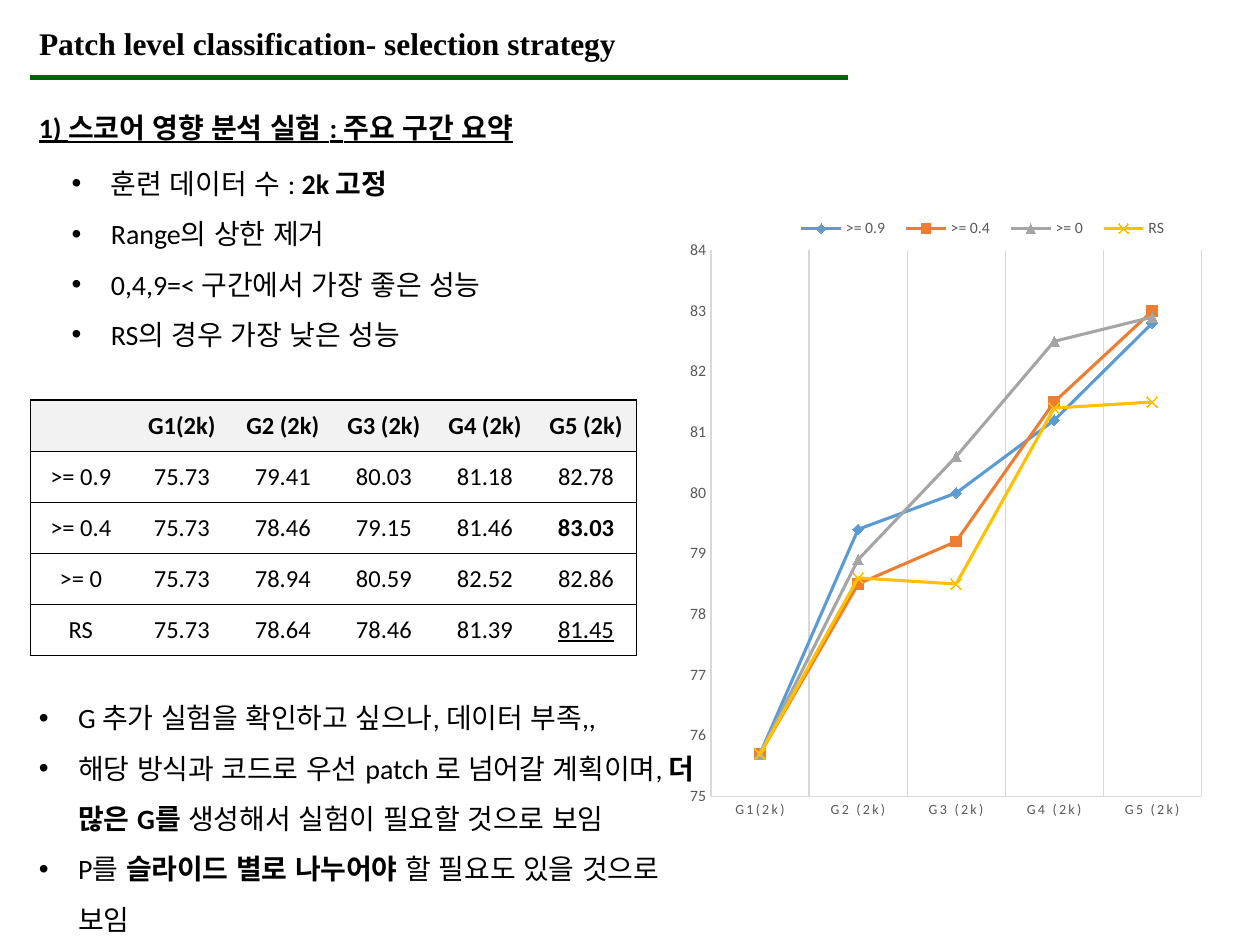
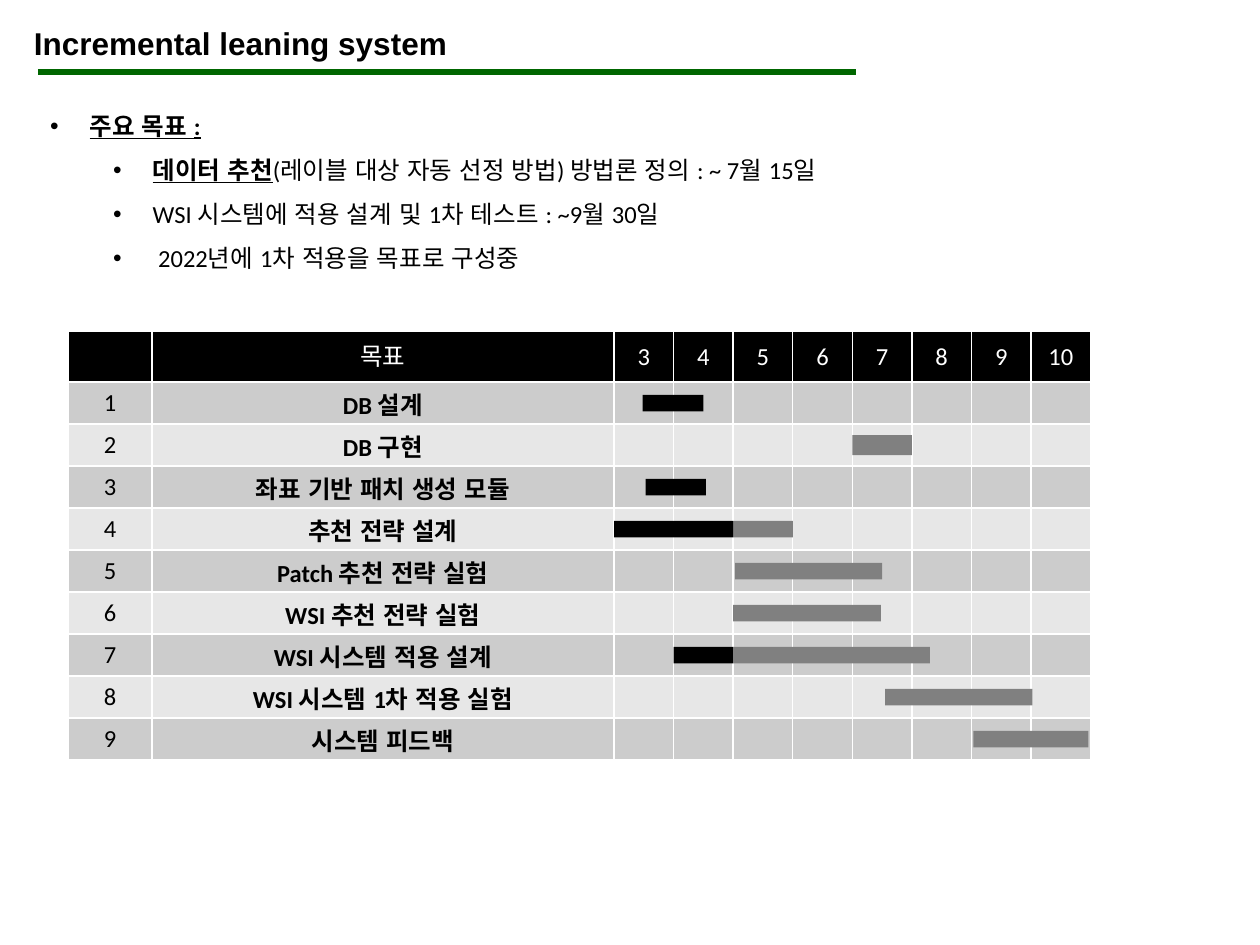
import lxml.etree
import pptx
import pptx.chart.data
import pptx.dml.color
import pptx.enum.chart
import pptx.enum.shapes
import pptx.enum.text
import pptx.oxml.ns
import pptx.util

Pt = pptx.util.Pt
qn = pptx.oxml.ns.qn
ALIGN = pptx.enum.text.PP_ALIGN
ANCHOR = pptx.enum.text.MSO_ANCHOR
MARKER = pptx.enum.chart.XL_MARKER_STYLE

# Shared look
COLORS = {
    "ink": "000000", "paper": "FFFFFF", "rule": "006600", "score_head": "F2F2F2",
    "odd_row": "CCCCCC", "even_row": "E7E7E7", "planned": "808080",
    "grid": "D9D9D9", "label": "595959",
    ">= 0.9": "5B9BD5", ">= 0.4": "ED7D31", ">= 0": "A5A5A5", "RS": "FFC000",
}
BODY_FONT, KOREAN_FONT = "Calibri", "Arial"
RULE_LENGTH = 467.3
BOLD = {"bold": True}
KEY = {"bold": True, "underline": True}

# Content: each paragraph is (level, runs), each run (text, format); level None has no bullet
SCORE_HEADING = [(None, [("1) 스코어 영향 분석 실험 : 주요 구간 요약", KEY)])]
SCORE_POINTS = [
    (0, [("훈련 데이터 수 : ", {}), ("2k 고정", BOLD)]),
    (0, [("Range의 상한 제거", {})]),
    (0, [("0,4,9=< 구간에서 가장 좋은 성능", {})]),
    (0, [("RS의 경우 가장 낮은 성능", {})]),
]
NEXT_STEPS = [
    (0, [("G 추가 실험을 확인하고 싶으나, 데이터 부족,,", {})]),
    (0, [("해당 방식과 코드로 우선 patch 로 넘어갈 계획이며, ", {}),
         ("더 많은 G를 ", BOLD), ("생성해서 실험이 필요할 것으로 보임", {})]),
    (0, [("P를 ", {}), ("슬라이드 별로 나누어야 ", BOLD), ("할 필요도 있을 것으로 보임", {})]),
]
GENERATIONS = ["G1(2k)", "G2 (2k)", "G3 (2k)", "G4 (2k)", "G5 (2k)"]
SCORES = {
    ">= 0.9": [75.73, 79.41, 80.03, 81.18, 82.78],
    ">= 0.4": [75.73, 78.46, 79.15, 81.46, 83.03],
    ">= 0": [75.73, 78.94, 80.59, 82.52, 82.86],
    "RS": [75.73, 78.64, 78.46, 81.39, 81.45],
}
SCORE_EMPHASIS = {"83.03": BOLD, "81.45": {"underline": True}}
SERIES_MARKERS = [MARKER.DIAMOND, MARKER.SQUARE, MARKER.TRIANGLE, MARKER.X]

GOALS_SUMMARY = [
    (0, [("주요 목표 :", KEY)]),
    (1, [("데이터 추천", KEY), ("(레이블 대상 자동 선정 방법) 방법론 정의 : ~ 7월 15일", {})]),
    (1, [("WSI 시스템에 적용 설계 및 1차 테스트 : ~9월 30일", {})]),
    (1, [(" 2022년에 1차 적용을 목표로 구성중", {})]),
]
MONTHS = list(range(3, 11))
# Goal, then its bars: (colour, start, end) in months
SCHEDULE = [
    ("DB 설계", [("ink", 3.48, 4.5)]),
    ("DB 구현", [("planned", 7, 8)]),
    ("좌표 기반 패치 생성 모듈", [("ink", 3.53, 4.54)]),
    ("추천 전략 설계", [("planned", 5, 6), ("ink", 3, 5)]),
    ("Patch 추천 전략 실험", [("planned", 5.03, 7.5)]),
    ("WSI 추천 전략 실험", [("planned", 5, 7.48)]),
    ("WSI 시스템 적용 설계", [("ink", 4, 5), ("planned", 5, 8.3)]),
    ("WSI 시스템 1차 적용 실험", [("planned", 7.55, 10.02)]),
    ("시스템 피드백", [("planned", 9.03, 10.96)]),
]
BAR_HEIGHTS = {"DB 구현": 11.5}


def color(name):
    return pptx.dml.color.RGBColor.from_string(COLORS[name])


def style_font(font, size, ink="ink", name=BODY_FONT, **flags):
    font.color.rgb = color(ink)
    for key, value in {"size": Pt(size), "name": name, **flags}.items():
        setattr(font, key, value)


def add_run(paragraph, text, size, ink="ink", **flags):
    run = paragraph.add_run()
    run.text = text
    style_font(run.font, size, ink, **flags)
    latin = run._r.get_or_add_rPr().find(qn("a:latin"))
    korean = lxml.etree.Element(qn("a:ea"), typeface=KOREAN_FONT)
    latin.addnext(korean)


def paint(fill, name):
    fill.solid()
    fill.fore_color.rgb = color(name)


def add_headed_slide(deck, title, font, title_left, rule_left, rule_top):
    slide = deck.slides.add_slide(deck.slide_layouts[5])
    heading = slide.shapes.title
    for key, value in {"left": title_left, "top": 10, "width": 373, "height": 29}.items():
        setattr(heading, key, Pt(value))
    frame = heading.text_frame
    frame.auto_size = pptx.enum.text.MSO_AUTO_SIZE.NONE
    frame.vertical_anchor = ANCHOR.TOP
    frame.paragraphs[0].alignment = ALIGN.LEFT
    add_run(frame.paragraphs[0], title, 18, name=font, bold=True)

    rule = slide.shapes.add_connector(
        pptx.enum.shapes.MSO_CONNECTOR.STRAIGHT, Pt(rule_left), Pt(rule_top),
        Pt(rule_left + RULE_LENGTH), Pt(rule_top))
    rule.line.color.rgb = color("rule")
    rule.line.width = Pt(3)
    lxml.etree.SubElement(rule.element.spPr, qn("a:effectLst"))
    return slide


def add_text(slide, box, paragraphs, size):
    frame = slide.shapes.add_textbox(*map(Pt, box)).text_frame
    frame.word_wrap = True
    for index, (level, runs) in enumerate(paragraphs):
        paragraph = frame.add_paragraph() if index else frame.paragraphs[0]
        paragraph.line_spacing = 1.5
        if level is not None:
            paragraph.level = level
            props = paragraph._p.get_or_add_pPr()
            props.set("marL", str(Pt(22.5 + 36 * level)))
            props.set("indent", str(Pt(-22.5)))
            lxml.etree.SubElement(props, qn("a:buFont"), typeface="Arial")
            lxml.etree.SubElement(props, qn("a:buChar"), char="•")
        for text, flags in runs:
            add_run(paragraph, text, size, **flags)


def set_borders(cell, borders):
    """Give the four sides, in the order L R T B, a 1 pt line or none."""
    props = cell._tc.get_or_add_tcPr()
    for index, (side, name) in enumerate(zip("LRTB", borders)):
        line = lxml.etree.Element(qn(f"a:ln{side}"), w=str(Pt(1)))
        fill = lxml.etree.SubElement(line, qn("a:solidFill" if name else "a:noFill"))
        if name:
            lxml.etree.SubElement(fill, qn("a:srgbClr"), val=COLORS[name])
        props.insert(index, line)


def fill_cell(cell, text, fill, borders, ink="ink", inset_top=0, **flags):
    insets = {"left": 0.7, "right": 0.7, "top": inset_top, "bottom": 0}
    for side, value in insets.items():
        setattr(cell, f"margin_{side}", Pt(value))
    cell.vertical_anchor = ANCHOR.MIDDLE
    paint(cell.fill, fill)
    set_borders(cell, borders)
    if text:
        paragraph = cell.text_frame.paragraphs[0]
        paragraph.alignment = ALIGN.CENTER
        add_run(paragraph, text, 14, ink, **flags)


def add_grid(slide, left, top, widths, heights):
    table = slide.shapes.add_table(len(heights), len(widths), Pt(left), Pt(top),
                                   Pt(sum(widths)), Pt(sum(heights))).table
    for column, width in zip(table.columns, widths):
        column.width = Pt(width)
    for row, height in zip(table.rows, heights):
        row.height = Pt(height)
    return table


def add_score_table(slide):
    rows = [["", *GENERATIONS]]
    rows += [[name, *(f"{value:.2f}" for value in values)] for name, values in SCORES.items()]
    last = len(GENERATIONS)
    table = add_grid(slide, 17.3, 228.7, [57.75] * (last + 1), [29.2] * len(rows))
    for r, texts in enumerate(rows):
        for c, text in enumerate(texts):
            sides = ("ink" if c == 0 else None, "ink" if c == last else None, "ink", "ink")
            flags = SCORE_EMPHASIS.get(text, {}) if r else BOLD
            fill_cell(table.cell(r, c), text, "paper" if r else "score_head", sides, **flags)


def place_in_chart(parent, index, **place):
    """Fix the plot or legend at shares of the chart's size."""
    for old in parent.findall(qn("c:layout")):
        parent.remove(old)
    layout = lxml.etree.Element(qn("c:layout"))
    manual = lxml.etree.SubElement(layout, qn("c:manualLayout"))
    for key, value in {"xMode": "edge", "yMode": "edge", **place}.items():
        lxml.etree.SubElement(manual, qn(f"c:{key}"), val=str(value))
    parent.insert(index, layout)


def add_score_chart(slide):
    data = pptx.chart.data.CategoryChartData()
    data.categories = GENERATIONS
    for name, values in SCORES.items():
        data.add_series(name, [round(value, 1) for value in values])
    chart = slide.shapes.add_chart(pptx.enum.chart.XL_CHART_TYPE.LINE_MARKERS,
                                   Pt(388), Pt(108.7), Pt(304.6), Pt(365.8), data).chart
    style_font(chart.font, 10)
    chart.has_title = False
    chart.has_legend = True
    chart.legend.position = pptx.enum.chart.XL_LEGEND_POSITION.TOP
    chart.legend.include_in_layout = False
    style_font(chart.legend.font, 9, "label")
    place_in_chart(chart.element.xpath(".//c:legend")[0], 1, x=0.2, y=0.04, w=0.74, h=0.04)
    plot_area = chart.element.xpath(".//c:plotArea")[0]
    place_in_chart(plot_area, 0, x=0.06, y=0.094, w=0.92, h=0.853)
    target = lxml.etree.Element(qn("c:layoutTarget"), val="inner")
    plot_area[0][0].insert(0, target)

    # Axes
    chart.value_axis.has_major_gridlines = False
    chart.category_axis.has_major_gridlines = True
    for axis, size in ((chart.category_axis, 8), (chart.value_axis, 9)):
        axis.major_tick_mark = pptx.enum.chart.XL_TICK_MARK.NONE
        style_font(axis.tick_labels.font, size, "label")
    for part in (chart.category_axis, chart.value_axis, chart.category_axis.major_gridlines):
        part.format.line.color.rgb = color("grid")
        part.format.line.width = Pt(0.75)
    for key, value in {"minimum_scale": 75, "maximum_scale": 84, "major_unit": 1}.items():
        setattr(chart.value_axis, key, value)
    for props in chart.element.xpath(".//c:catAx//a:defRPr"):
        props.set("spc", "120")

    # Series
    chart.plots[0].vary_by_categories = False
    for series, style in zip(chart.plots[0].series, SERIES_MARKERS):
        series.smooth = False
        series.format.line.width = Pt(1.75)
        series.marker.style = style
        series.marker.size = 6
        for line in (series.format.line, series.marker.format.line):
            line.color.rgb = color(series.name)
        if style == MARKER.X:
            series.marker.format.fill.background()
        else:
            paint(series.marker.format.fill, series.name)


def add_schedule(slide):
    left, top, head, row_height, month_width = 39.1, 189.2, 29.2, 24, 34.05
    goal_widths = [47.7, 264.1]
    table = add_grid(slide, left, top, goal_widths + [month_width] * len(MONTHS),
                     [head] + [row_height] * len(SCHEDULE))
    borders = ["paper"] * 4
    for c, text in enumerate(["", "목표", *map(str, MONTHS)]):
        fill_cell(table.cell(0, c), text, "ink", borders, "paper", bold=False)

    first_month = left + sum(goal_widths)
    for r, (goal, bars) in enumerate(SCHEDULE, 1):
        band = "odd_row" if r % 2 else "even_row"
        for c, text in enumerate([str(r), goal] + [""] * len(MONTHS)):
            fill_cell(table.cell(r, c), text, band, borders,
                      inset_top=3.3 if c == 1 else 0, bold=c == 1)
        height = BAR_HEIGHTS.get(goal, 9.4)
        bar_top = top + head + (r - 0.5) * row_height - height / 2
        for name, start, end in bars:
            bar = slide.shapes.add_shape(
                pptx.enum.shapes.MSO_SHAPE.RECTANGLE,
                Pt(first_month + (start - MONTHS[0]) * month_width), Pt(bar_top),
                Pt((end - start) * month_width), Pt(height))
            bar.shadow.inherit = False
            bar.line.fill.background()
            paint(bar.fill, name)


def main():
    deck = pptx.Presentation()
    deck.slide_width, deck.slide_height = Pt(720), Pt(540)

    # Score analysis
    scores = add_headed_slide(deck, "Patch level classification- selection strategy",
                              "Times New Roman", 15.1, 17.3, 44.4)
    add_text(scores, (15.1, 50.2, 552, 36), SCORE_HEADING, 16)
    add_score_table(scores)
    add_score_chart(scores)
    add_text(scores, (33.8, 82.1, 336, 124), SCORE_POINTS, 16)
    add_text(scores, (15.1, 387.4, 392.4, 152.6), NEXT_STEPS, 16)

    # Project schedule
    plan = add_headed_slide(deck, "Incremental leaning system", "Arial", 12.2, 21.6, 41.2)
    add_schedule(plan)
    add_text(plan, (21.6, 51.5, 619, 108.7), GOALS_SUMMARY, 14)

    deck.save("out.pptx")


if __name__ == "__main__":
    main()
